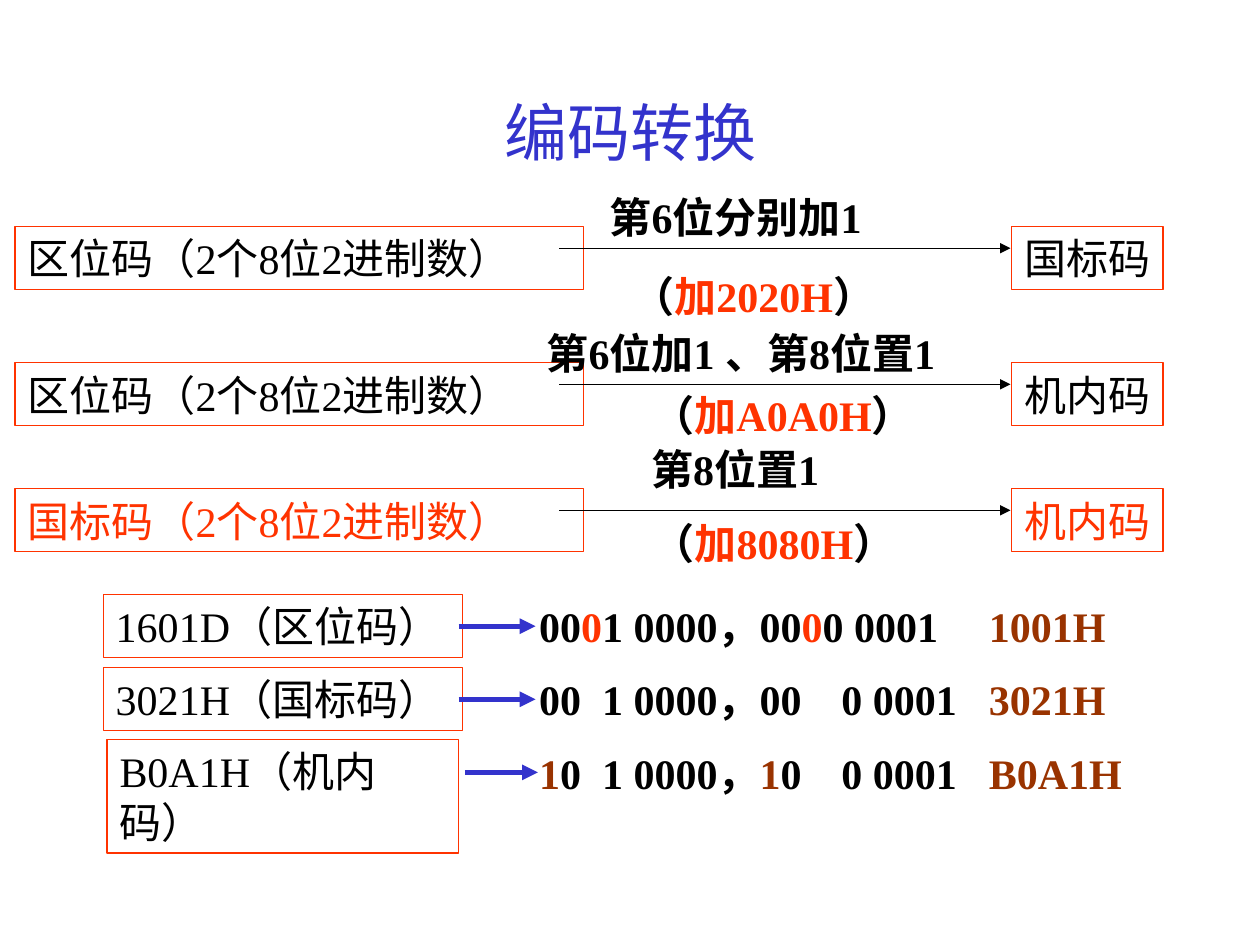
from lxml.etree import SubElement
from pptx import Presentation
from pptx.dml.color import RGBColor
from pptx.enum.shapes import MSO_CONNECTOR, MSO_SHAPE
from pptx.enum.text import MSO_ANCHOR, MSO_AUTO_SIZE, PP_ALIGN
from pptx.oxml.ns import qn
from pptx.util import Inches, Pt

COLORS = {
    "black": "000000",
    "red": "FF3300",
    "blue": "3333CC",
    "brown": "993300",
}
FONT = "Times New Roman"
LINE_HEIGHT = 0.5
BIT_TABS = (0.5, 2.4, 3.57)


def rgb(name):
    return RGBColor.from_string(COLORS[name])


def write_spans(para, spans, size=24, bold=False):
    for text, color in spans:
        span = para.add_run()
        span.text = text
        formats = {"name": FONT, "size": Pt(size), "bold": bold}
        for key, value in formats.items():
            setattr(span.font, key, value)
        span.font.color.rgb = rgb(color)


def fill_frame(frame, spans, bold=False, right_inset=0):
    formats = {
        "word_wrap": True,
        "auto_size": MSO_AUTO_SIZE.SHAPE_TO_FIT_TEXT,
        "vertical_anchor": MSO_ANCHOR.TOP,
        "margin_right": Inches(right_inset),
    }
    for key, value in formats.items():
        setattr(frame, key, value)
    para = frame.paragraphs[0]
    para.alignment = PP_ALIGN.LEFT
    write_spans(para, spans, bold=bold)
    return para


def add_code_box(page, box, text, color="black", right_inset=0):
    shape = page.shapes.add_shape(MSO_SHAPE.RECTANGLE, *map(Inches, box))
    shape.shadow.inherit = False
    shape.fill.background()
    shape.line.color.rgb = rgb("red")
    shape.line.width = Pt(0.75)
    fill_frame(shape.text_frame, [(text, color)], right_inset=right_inset)


def add_label(page, box, spans):
    label = page.shapes.add_textbox(*map(Inches, box))
    return fill_frame(label.text_frame, spans, bold=True)


def add_arrow(page, left, right, y, color, width):
    arrow = page.shapes.add_connector(
        MSO_CONNECTOR.STRAIGHT, Inches(left), Inches(y), Inches(right), Inches(y)
    )
    arrow.line.color.rgb = rgb(color)
    arrow.line.width = Pt(width)
    SubElement(arrow.line._get_or_add_ln(), qn("a:tailEnd"), type="triangle")
    SubElement(arrow._element.spPr, qn("a:effectLst"))


def add_title(page, box, text):
    title = page.shapes.title
    for key, value in zip(("left", "top", "width", "height"), box):
        setattr(title, key, Inches(value))
    title.text_frame.vertical_anchor = MSO_ANCHOR.MIDDLE
    para = title.text_frame.paragraphs[0]
    para.alignment = PP_ALIGN.CENTER
    write_spans(para, [(text, "blue")], size=36)


def add_conversion(page, box, source, target, color, rule, addend):
    left, top, width, height = box
    source_width, target_width = 4.51, 1.2
    target_left = left + width - target_width
    add_code_box(page, (left, top, source_width, height), source, color)
    add_code_box(page, (target_left, top, target_width, height), target, color)
    add_arrow(page, left + 4.32, target_left - 0.01, top + 0.17, "black", 0.75)
    rule_text, *rule_box = rule
    add_label(page, (*rule_box, height), [(rule_text, "black")])
    addend_text, *addend_box = addend
    add_label(
        page,
        (*addend_box, height),
        [("（", "black"), (addend_text, "red"), ("）", "black")],
    )


def add_example(page, box, code_box, code, arrow_ends, bits, right_inset=0):
    add_code_box(page, code_box, code, right_inset=right_inset)
    para = add_label(page, box, bits)
    tab_list = SubElement(para._p.get_or_add_pPr(), qn("a:tabLst"))
    for stop in BIT_TABS:
        SubElement(tab_list, qn("a:tab"), pos=str(Inches(stop)), algn="l")
    add_arrow(page, *arrow_ends, box[1] + 0.25, "blue", 3)


def main():
    deck = Presentation()
    deck.slide_width, deck.slide_height = Inches(10), Inches(7.5)
    page = deck.slides.add_slide(deck.slide_layouts[5])
    add_title(page, (0.75, 0.42, 8.5, 1.25), "编码转换")

    conversions = [
        (1.8, "区位码（2个8位2进制数）", "国标码", "black",
         ("第6位分别加1", 4.74, 1.47, 2.44), ("加2020H", 4.92, 2.1, 2.28)),
        (2.88, "区位码（2个8位2进制数）", "机内码", "black",
         ("第6位加1 、第8位置1", 4.24, 2.55, 3.84), ("加A0A0H", 5.08, 3.04, 2.43)),
        (3.88, "国标码（2个8位2进制数）", "机内码", "red",
         ("第8位置1", 5.07, 3.47, 1.77), ("加8080H", 5.08, 4.06, 2.28)),
    ]
    for top, *parts in conversions:
        add_conversion(page, (0.12, top, 9.11, LINE_HEIGHT), *parts)

    examples = [
        ((0.82, 4.72, 2.85, LINE_HEIGHT), "1601D（区位码）", (3.64, 4.25),
         [("00", "black"), ("0", "red"), ("1 0000，00", "black"),
          ("0", "red"), ("0 0001\t", "black"), ("1001H", "brown")]),
        ((0.82, 5.3, 2.85, LINE_HEIGHT), "3021H（国标码）", (3.64, 4.25),
         [("00\t1 0000，00\t0 0001\t", "black"), ("3021H", "brown")]),
        ((0.85, 5.87, 2.79, 0.9), "B0A1H（机内码）", (3.69, 4.27),
         [("1", "brown"), ("0\t1 0000，", "black"), ("1", "brown"),
          ("0\t0 0001\t", "black"), ("B0A1H", "brown")], 0.1),
    ]
    for row, parts in enumerate(examples):
        add_example(page, (4.18, 4.72 + 0.58 * row, 4.9, LINE_HEIGHT), *parts)

    deck.save("out.pptx")


if __name__ == "__main__":
    main()
